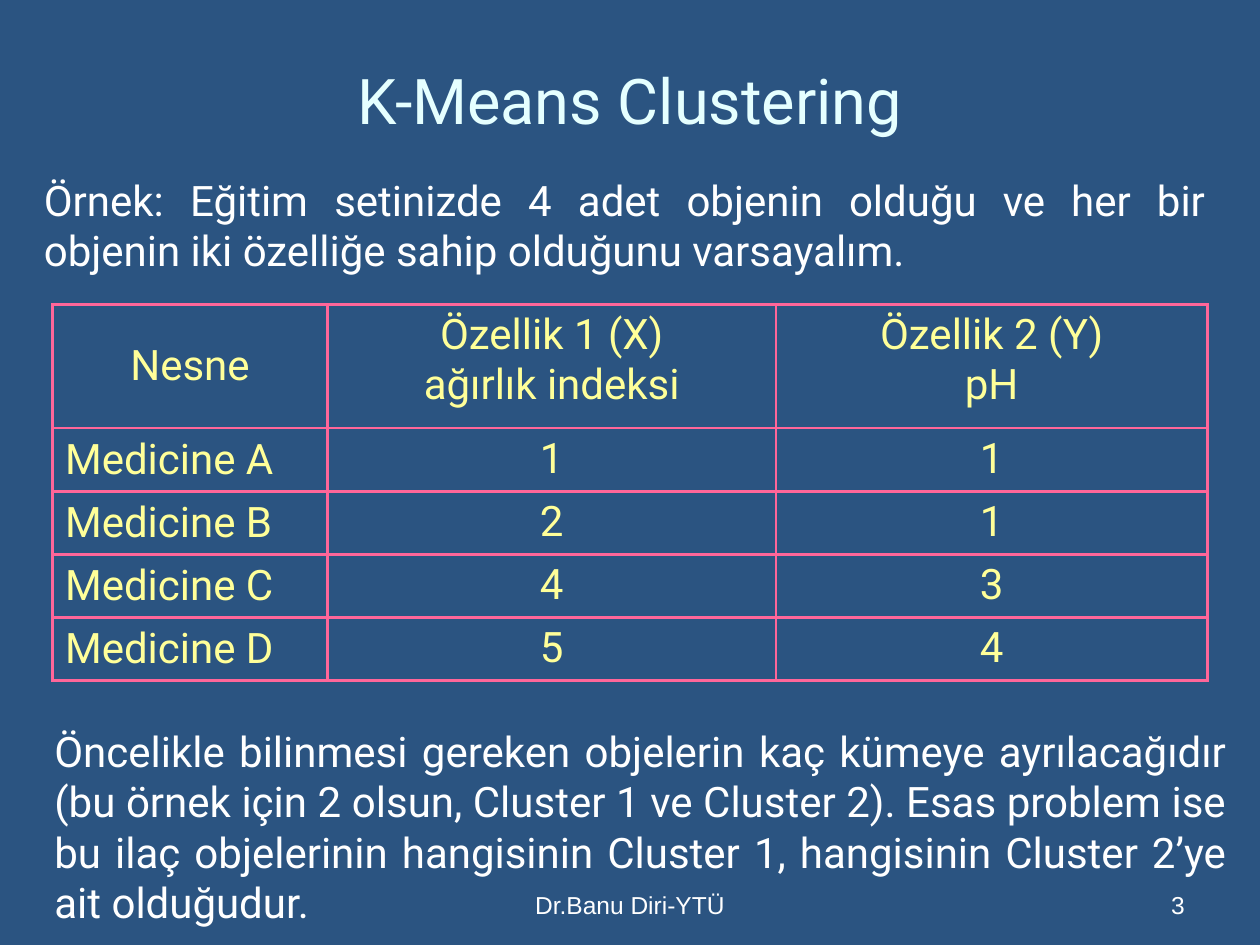
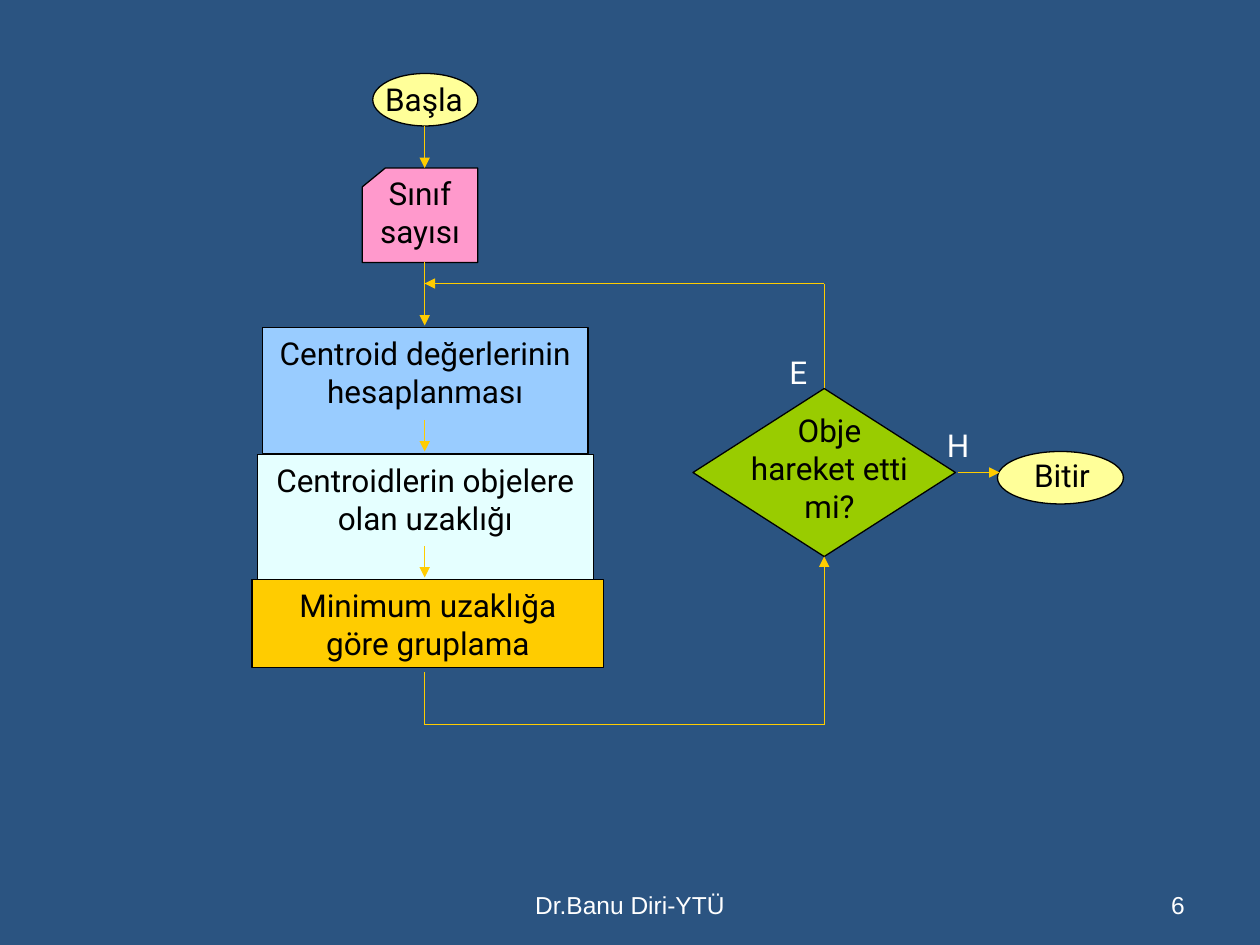
from lxml import etree
from pptx import Presentation
from pptx import util as u
from pptx.dml import color
from pptx.enum import shapes, text
from pptx.oxml import ns

# Grid: 120 columns by 90 rows of square cells
COLUMNS, ROWS = 120, 90
CELL = u.Inches(10) // COLUMNS

COLORS = {
    "background": "2B5481", "title": "E5FFFF", "white": "FFFFFF",
    "black": "000000", "table_text": "FFFF99", "border": "FF6699",
    "arrow": "FFCC00", "terminal": "FFFF99", "input": "FF99CC",
    "centroid": "99CCFF", "distance": "E5FFFF", "grouping": "FFCC00",
    "decision": "99CC00",
}
BODY_FONT, FOOTER_FONT = "Roboto", "Arial"
LEFT, CENTER = text.PP_ALIGN.LEFT, text.PP_ALIGN.CENTER
RIGHT, JUSTIFY = text.PP_ALIGN.RIGHT, text.PP_ALIGN.JUSTIFY
TOP, MIDDLE, BOTTOM = (text.MSO_ANCHOR.TOP, text.MSO_ANCHOR.MIDDLE,
                       text.MSO_ANCHOR.BOTTOM)
SHAPE = shapes.MSO_SHAPE


def grid(*cells):
    return [round(cell * CELL) for cell in cells]


def rgb(name):
    return color.RGBColor.from_string(COLORS[name])


def write(frame, content, size=18, font=BODY_FONT, ink="black",
          align=LEFT, anchor=TOP):
    """Fill a text frame, one paragraph for each line."""
    frame.word_wrap = True
    frame.vertical_anchor = anchor
    for index, line in enumerate(content.split("\n")):
        paragraph = frame.paragraphs[0] if index == 0 else frame.add_paragraph()
        paragraph.text = line
        paragraph.alignment = align
        paragraph.font.size = u.Pt(size)
        paragraph.font.name = font
        paragraph.font.color.rgb = rgb(ink)


def add_text(slide, box, content, **style):
    write(slide.shapes.add_textbox(*grid(*box)).text_frame, content, **style)


def add_node(slide, kind, box, fill, content, label_box=None, align=CENTER):
    """Add a flowchart shape; its label may have a box of its own."""
    shape = slide.shapes.add_shape(kind, *grid(*box))
    shape.shadow.inherit = False
    shape.fill.solid()
    shape.fill.fore_color.rgb = rgb(fill)
    shape.line.color.rgb = rgb("black")
    shape.line.width = u.Pt(0.75)
    if label_box:
        add_text(slide, label_box, content, align=align)
    else:
        write(shape.text_frame, content, align=align)


def add_line(slide, start, end, arrow=True):
    connector = slide.shapes.add_connector(
        shapes.MSO_CONNECTOR.STRAIGHT, *grid(*start, *end))
    connector.line.color.rgb = rgb("arrow")
    connector.line.width = u.Pt(0.75)
    properties = connector.element.spPr
    if arrow:
        etree.SubElement(properties.find(ns.qn("a:ln")), ns.qn("a:tailEnd"),
                         type="triangle")
    etree.SubElement(properties, ns.qn("a:effectLst"))


def add_borders(cell, width=1.47):
    properties = cell._tc.get_or_add_tcPr()
    for side in ("lnL", "lnR", "lnT", "lnB"):
        line = etree.SubElement(properties, ns.qn(f"a:{side}"),
                                w=str(u.Pt(width)))
        fill = etree.SubElement(line, ns.qn("a:solidFill"))
        etree.SubElement(fill, ns.qn("a:srgbClr"), val=COLORS["border"])


def add_table(slide, left, top, widths, heights, rows):
    frame = slide.shapes.add_table(
        len(rows), len(widths),
        *grid(left, top, sum(widths), sum(heights)))
    table = frame.table
    table.first_row = table.horz_banding = False
    for column, width in zip(table.columns, grid(*widths)):
        column.width = width
    for row, height in zip(table.rows, grid(*heights)):
        row.height = height
    for row_index, values in enumerate(rows):
        for column_index, value in enumerate(values):
            cell = table.cell(row_index, column_index)
            is_name = column_index == 0
            write(cell.text_frame, value, size=24, ink="table_text",
                  align=LEFT if is_name and row_index else CENTER)
            cell.vertical_anchor = MIDDLE if is_name else TOP
            add_borders(cell)
            cell.fill.background()


def new_slide(presentation, number):
    """Add a slide with the shared background, footer and number."""
    slide = presentation.slides.add_slide(presentation.slide_layouts[6])
    slide.background.fill.solid()
    slide.background.fill.fore_color.rgb = rgb("background")
    footer = dict(size=14, font=FOOTER_FONT, ink="white", anchor=BOTTOM)
    add_text(slide, (41, 82, 38, 6.2), "Dr.Banu Diri-YTÜ", align=CENTER, **footer)
    add_text(slide, (86, 82, 28, 6.2), str(number), align=RIGHT, **footer)
    return slide


def build_example(presentation):
    slide = new_slide(presentation, 3)
    add_text(slide, (6, 5, 108, 9), "K-Means Clustering", size=36,
             ink="title", align=CENTER, anchor=MIDDLE)
    body = dict(size=24, ink="white", align=JUSTIFY, anchor=MIDDLE)
    add_text(slide, (3, 16, 113, 10.8),
             "Örnek: Eğitim setinizde 4 adet objenin olduğu ve her bir "
             "objenin iki özelliğe sahip olduğunu varsayalım.", **body)
    add_table(slide, 5, 29, (26.2, 42.7, 41.1), (11.8, 6, 6, 6, 6), [
        ("Nesne", "Özellik 1 (X)\nağırlık indeksi", "Özellik 2 (Y)\npH"),
        ("Medicine A", "1", "1"),
        ("Medicine B", "2", "1"),
        ("Medicine C", "4", "3"),
        ("Medicine D", "5", "4"),
    ])
    add_text(slide, (4, 68.5, 114, 20.4),
             "Öncelikle bilinmesi gereken objelerin kaç kümeye ayrılacağıdır "
             "(bu örnek için 2 olsun, Cluster 1 ve Cluster 2). Esas problem "
             "ise bu ilaç objelerinin hangisinin Cluster 1, hangisinin "
             "Cluster 2’ye ait olduğudur.", **body)


def build_flowchart(presentation):
    slide = new_slide(presentation, 6)
    flow_x, loop_x = 40.45, 78.5
    loop_top, loop_bottom = 27, 69

    # Steps
    add_node(slide, SHAPE.OVAL, (35.5, 7, 10, 5), "terminal", "Başla",
             label_box=(35.5, 7, 10, 4.8), align=LEFT)
    add_node(slide, SHAPE.FLOWCHART_CARD, (34.5, 16, 11, 9), "input",
             "Sınıf sayısı", label_box=(34.5, 16, 11, 8.4))
    add_node(slide, SHAPE.RECTANGLE, (25, 31.2, 31, 12), "centroid",
             "Centroid değerlerinin hesaplanması")
    add_node(slide, SHAPE.RECTANGLE, (24.5, 43.3, 32, 12), "distance",
             "Centroidlerin objelere olan uzaklığı")
    add_node(slide, SHAPE.RECTANGLE, (24, 55.2, 33.5, 8.4), "grouping",
             "Minimum uzaklığa göre gruplama")
    add_node(slide, SHAPE.FLOWCHART_DECISION, (66, 37, 25, 16), "decision",
             "Obje hareket etti mi?", label_box=(70, 38.6, 18, 12))
    add_node(slide, SHAPE.OVAL, (95, 43, 12, 5), "terminal", "Bitir",
             label_box=(97.3, 42.8, 10, 4.8), align=LEFT)

    # Downward arrows
    for top, bottom in ((12, 16), (25, 31), (40, 43), (52, 55)):
        add_line(slide, (flow_x, top), (flow_x, bottom))

    # Loop through the decision and exit
    add_line(slide, (flow_x, 64), (flow_x, loop_bottom), arrow=False)
    add_line(slide, (flow_x, loop_bottom), (loop_x, loop_bottom), arrow=False)
    add_line(slide, (loop_x, loop_bottom), (loop_x, 53))
    add_line(slide, (loop_x, 37), (loop_x, loop_top), arrow=False)
    add_line(slide, (loop_x, loop_top), (flow_x, loop_top))
    add_line(slide, (91.2, 45), (95.2, 45))
    for answer, left, top in (("E", 74, 33), ("H", 89, 40)):
        add_text(slide, (left, top, 4, 4.8), answer, ink="white")


def main():
    presentation = Presentation()
    presentation.slide_width, presentation.slide_height = grid(COLUMNS, ROWS)
    build_example(presentation)
    build_flowchart(presentation)
    presentation.save("out.pptx")


if __name__ == "__main__":
    main()
